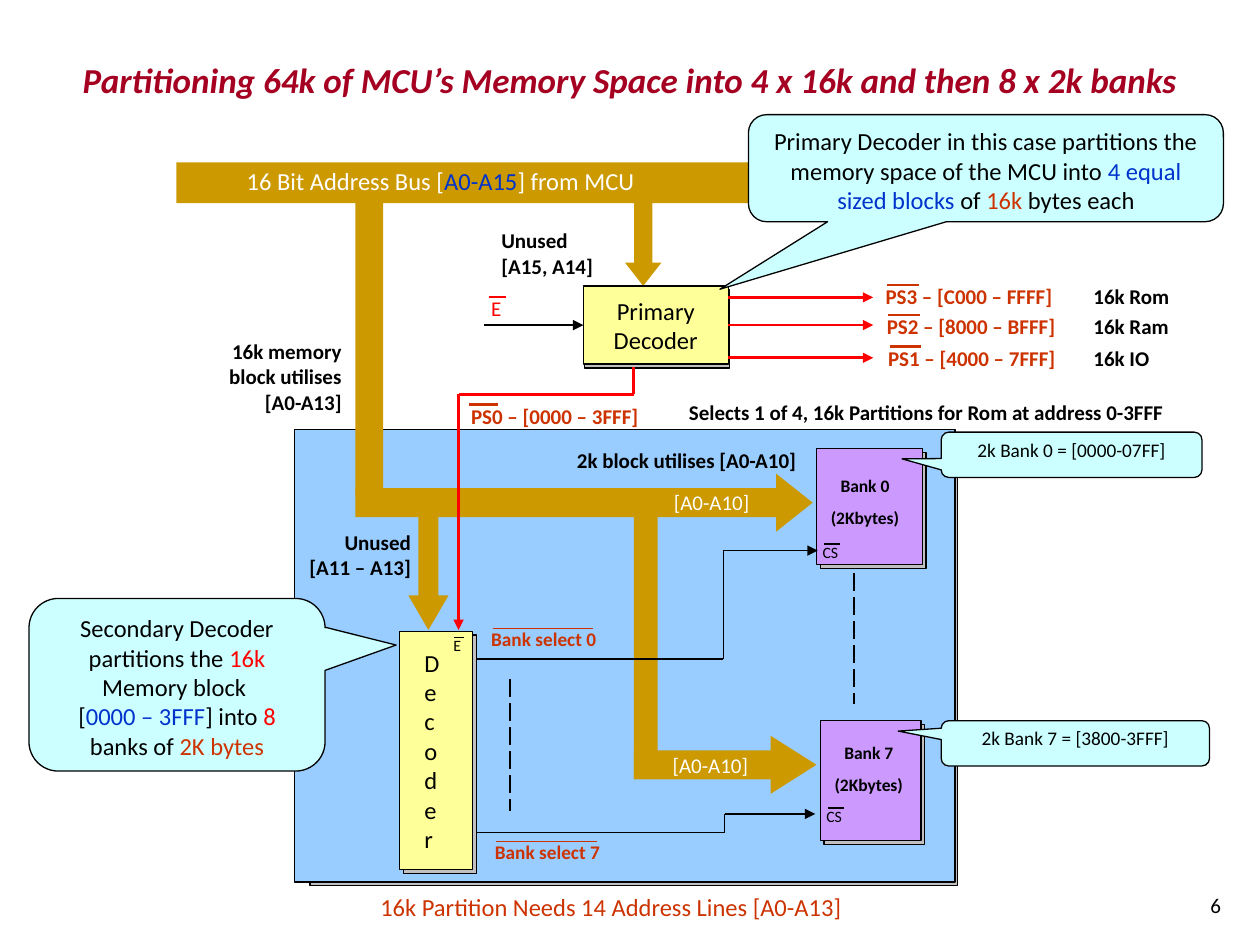
from lxml.etree import SubElement
from pptx import Presentation
from pptx.dml.color import RGBColor
from pptx.enum.dml import MSO_LINE
from pptx.enum.shapes import MSO_CONNECTOR, MSO_SHAPE
from pptx.enum.text import MSO_ANCHOR, MSO_AUTO_SIZE, PP_ALIGN
from pptx.oxml.ns import qn
from pptx.util import Pt

SCALE = 9144
FONT = "Calibri"
COLORS = {
    "black": "000000", "white": "FFFFFF", "red": "FF0000", "rust": "CC3300",
    "blue": "0033CC", "title": "A50021", "bus": "CC9900", "shade": "C0C0C0",
    "panel": "99CCFF", "decoder": "FFFF99", "bank": "CC99FF", "callout": "CCFFFF",
}
LEFT, CENTER, RIGHT = PP_ALIGN.LEFT, PP_ALIGN.CENTER, PP_ALIGN.RIGHT


def color(name):
    return RGBColor.from_string(COLORS[name])


def emu(*lengths):
    return [length * SCALE for length in lengths]


def write(frame, paragraphs, size, align=LEFT, bold=False, italic=False,
          gap=0, spacing=None, anchor=MSO_ANCHOR.TOP):
    frame.word_wrap = True
    frame.auto_size = MSO_AUTO_SIZE.NONE
    frame.vertical_anchor = anchor
    for index, runs in enumerate(paragraphs):
        paragraph = frame.add_paragraph() if index else frame.paragraphs[0]
        paragraph.alignment = align
        paragraph.space_before = Pt(gap if index else 0)
        if spacing:
            paragraph.line_spacing = spacing
        for text, tint in runs:
            for row, part in enumerate(text.split("\n")):
                if row:
                    paragraph.add_line_break()
                run = paragraph.add_run()
                run.text = part
                run.font.name = FONT
                run.font.size = Pt(size)
                run.font.bold = bold
                run.font.italic = italic
                run.font.color.rgb = color(tint)


def label(slide, box, text, size=12, tint="black", **style):
    caption = slide.shapes.add_textbox(*emu(*box))
    write(caption.text_frame, [[(text, tint)]], size, **style)


def block(slide, kind, box, fill, adjustments=(), outlined=False):
    figure = slide.shapes.add_shape(kind, *emu(*box))
    figure.shadow.inherit = False
    figure.fill.solid()
    figure.fill.fore_color.rgb = color(fill)
    for index, value in enumerate(adjustments):
        figure.adjustments[index] = value
    if outlined:
        figure.line.color.rgb = color("black")
        figure.line.width = Pt(0.75)
    else:
        figure.line.fill.background()
    return figure


def raised(slide, box, fill, shade):
    block(slide, MSO_SHAPE.RECTANGLE, shade, "shade", outlined=True)
    return block(slide, MSO_SHAPE.RECTANGLE, box, fill, outlined=True)


def line(slide, start, end, tint="black", width=0.75, arrow=False, dashed=False):
    wire = slide.shapes.add_connector(MSO_CONNECTOR.STRAIGHT, *emu(*start, *end))
    wire.line.color.rgb = color(tint)
    wire.line.width = Pt(width)
    if dashed:
        wire.line.dash_style = MSO_LINE.LONG_DASH
    properties = wire._element.spPr
    if arrow:
        SubElement(properties.find(qn("a:ln")), qn("a:tailEnd"), type="triangle")
    SubElement(properties, qn("a:effectLst"))
    return wire


def route(slide, points, **style):
    last = len(points) - 2
    for index, (start, end) in enumerate(zip(points, points[1:])):
        line(slide, start, end, arrow=index == last, **style)


def active_low(slide, box, text, bar, size=12, tint="rust", bold=True,
               weight=1.25, indent=11):
    label(slide, box, text, size, tint, bold=bold)
    x, y = box[0] + indent, box[1] + 6
    line(slide, (x, y), (x + bar, y), tint, weight)


def title(slide, box):
    heading = slide.shapes.title
    heading.left, heading.top, heading.width, heading.height = emu(*box)
    text = "Partitioning 64k of MCU’s Memory Space into 4 x 16k and then 8 x 2k banks"
    write(heading.text_frame, [[(text, "title")]], 20, CENTER, True, True,
          anchor=MSO_ANCHOR.BOTTOM)


def memory_panel(slide, box):
    x, y, w, h = box
    raised(slide, box, "panel", (x + 12, y + 3, w - 10, h))
    label(slide, (x + 58, y + 362, 490, 34),
          "16k Partition Needs 14 Address Lines [A0-A13]", 14, "rust")
    label(slide, (x + 167, y + 9, 241, 30), "2k block utilises [A0-A10]",
          bold=True, align=RIGHT)
    line(slide, (x + 444, y + 114), (x + 444, y + 218), width=1.25, dashed=True)


def address_buses(slide, box):
    x, y, w, h = box
    for kind, part, adjustments in (
        (MSO_SHAPE.RIGHT_ARROW, (0, 0, w, 108), (0.3, 0.88)),
        (MSO_SHAPE.RECTANGLE, (142, 63, 22, 239), ()),
        (MSO_SHAPE.DOWN_ARROW, (356, 60, 29, 76), (0.5, 0.64)),
        (MSO_SHAPE.RIGHT_ARROW, (142, 285, 363, 46), (0.5, 0.63)),
        (MSO_SHAPE.RIGHT_ARROW, (363, 493, 145, 46), (0.5, 0.79)),
        (MSO_SHAPE.RECTANGLE, (363, 306, 19, 221), ()),
        (MSO_SHAPE.DOWN_ARROW, (184, 301, 32, 108), (0.5, 0.86)),
    ):
        dx, dy, *extent = part
        block(slide, kind, (x + dx, y + dy, *extent), "bus", adjustments)
    bus_name = slide.shapes.add_textbox(*emu(x + 46, y + 36, 378, 34))
    write(bus_name.text_frame, [[("16 Bit Address Bus [", "white"),
                                 ("A0-A15", "blue"), ("] from MCU", "white")]], 14)
    for dx, dy in ((385, 293), (384, 501)):
        label(slide, (x + dx, y + dy, 105, 30), "[A0-A10]", tint="white")
    label(slide, (x + 248, y + 85, 142, 50), "Unused \n[A15, A14]", bold=True)
    label(slide, (x + 54, y + 324, 142, 50), "Unused\n[A11 – A13]",
          bold=True, align=RIGHT)
    label(slide, (x + 12, y + 173, 129, 70), "16k memory block utilises\n[A0-A13]",
          bold=True, align=RIGHT)


def primary_decoder(slide, box):
    x, y, w, h = box
    middle = y + h // 2
    decoder = raised(slide, box, "decoder", (x + 1, y + 3, w, h))
    label(slide, (x, y + 3, w, 57), "Primary Decoder", 14, align=CENTER)
    enable = line(slide, (x - 79, middle), (x, middle), width=1, arrow=True)
    enable.end_connect(decoder, 1)
    active_low(slide, (x - 83, y + 3, 44, 30), "E", 14, tint="red", bold=False,
               weight=1, indent=8)
    outputs = (("PS3 – [C000 – FFFF]", "16k Rom", -7, 9),
               ("PS2 – [8000 – BFFF]", "16k Ram", 17, 31),
               ("PS1 – [4000 – 7FFF]", "16k IO", 42, 57))
    for index, (select, use, text_y, wire_y) in enumerate(outputs):
        output = line(slide, (x + w, y + wire_y), (x + 230, y + wire_y), "red", 1.5, True)
        if y + wire_y == middle:
            output.begin_connect(decoder, 3)
        active_low(slide, (x + 230 + index, y + text_y, 160, 30), select, 25)
        label(slide, (x + 395, y + text_y, 96, 30), use, bold=True)
    active_low(slide, (x - 99, y + 88, 198, 30), "PS0 – [0000 – 3FFF]", 23, indent=8)
    route(slide, [(x + 40, y + 64), (x + 40, y + 86), (x - 99, y + 86),
                  (x - 99, y + 273)], tint="red", width=1.5)
    label(slide, (x + 74, y + 85, 463, 30),
          "Selects 1 of 4, 16k Partitions for Rom at address 0-3FFF", bold=True)


def secondary_decoder(slide, box):
    x, y, w, h = box
    raised(slide, box, "decoder", (x + 3, y + 3, w, h))
    label(slide, (x + 10, y + 8, 51, 174), "\n".join("Decoder"), 14)
    active_low(slide, (x + 33, y - 1, 40, 25), "E", 8, 9, "black", False, 0.75, 10)
    for number, text_x, text_y, wire_y, turn, rise, reach in (
        (0, 63, -8, 22, 257, 86, 332), (7, 66, 161, 160, 258, 15, 330)):
        active_low(slide, (x + text_x, y + text_y, 114, 29), f"Bank select {number}",
                   80, 11, weight=0.75)
        route(slide, [(x + w + 3, y + wire_y), (x + turn, y + wire_y),
                      (x + turn, y + wire_y - rise), (x + reach, y + wire_y - rise)])
    line(slide, (x + 88, y + 38), (x + 88, y + 143), width=1.25, dashed=True)


def memory_bank(slide, box, name, name_y, select_y):
    x, y, w, h = box
    raised(slide, box, "bank", (x + 3, y + 3, w, h))
    caption = slide.shapes.add_textbox(*emu(x - 5, y + name_y, 87, 52))
    write(caption.text_frame, [[(name, "black")], [("(2Kbytes)", "black")]], 10,
          CENTER, True, gap=6.2)
    active_low(slide, (x - 5, y + select_y, 40, 25), "CS", 13, 9, "black", False, 1)


def callout(slide, box, tip, runs, size=14, spacing=None):
    bubble = block(slide, MSO_SHAPE.ROUNDED_RECTANGULAR_CALLOUT, box, "callout",
                   (*tip, 0.17), outlined=True)
    write(bubble.text_frame, [runs], size, CENTER, spacing=spacing)


def main():
    deck = Presentation()
    deck.slide_width, deck.slide_height = emu(1000, 750)
    slide = deck.slides.add_slide(deck.slide_layouts[5])
    title(slide, (0, 0, 1000, 85))
    memory_panel(slide, (234, 341, 524, 359))
    address_buses(slide, (140, 91, 615, 539))
    primary_decoder(slide, (463, 227, 115, 62))
    memory_bank(slide, (648, 356, 84, 92), "Bank 0", 16, 70)
    memory_bank(slide, (651, 572, 80, 95), "Bank 7", 12, 63)
    secondary_decoder(slide, (317, 501, 58, 189))
    callout(slide, (23, 475, 235, 137), (0.74, -0.23), [
        ("Secondary Decoder partitions the ", "black"), ("16k", "red"),
        (" Memory block \n[", "black"), ("0000 – 3FFF", "blue"), ("] into ", "black"),
        ("8", "red"), (" banks of ", "black"), ("2K bytes", "rust")])
    callout(slide, (594, 91, 377, 85), (-0.56, 1.13), [
        ("Primary Decoder in this case partitions the memory space of the MCU into ",
         "black"), ("4 equal sized blocks ", "blue"), ("of ", "black"),
        ("16k", "rust"), (" bytes each", "black")])
    callout(slide, (747, 343, 207, 36), (-0.65, 0.09),
            [("2k Bank 0 = [0000-07FF]", "black")], 11, 0.9)
    callout(slide, (747, 572, 213, 36), (-0.66, -0.27),
            [("2k Bank 7 = [3800-3FFF]", "black")], 11, 0.9)
    label(slide, (777, 683, 202, 50), "6", align=RIGHT, anchor=MSO_ANCHOR.BOTTOM)
    deck.save("out.pptx")


if __name__ == "__main__":
    main()
